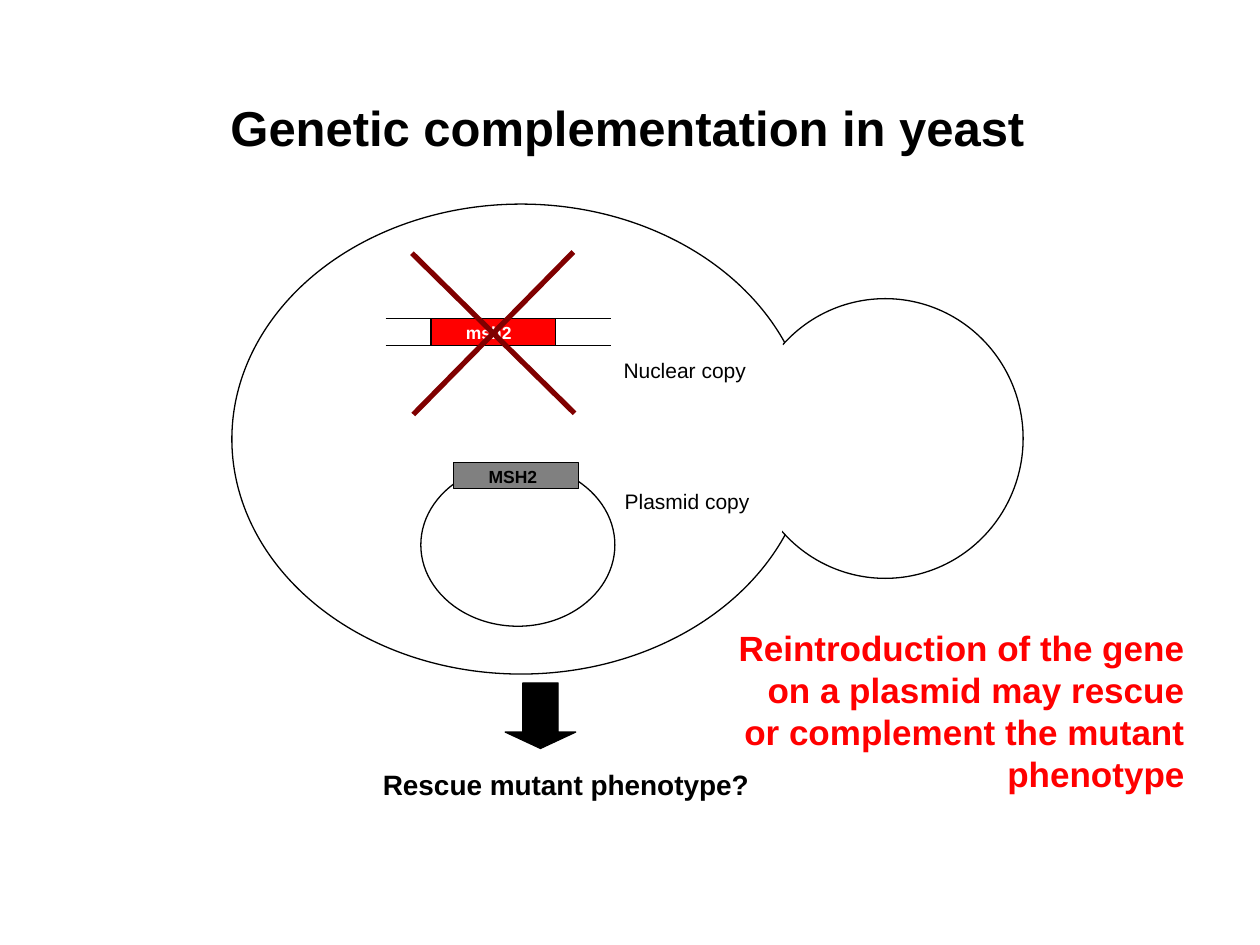
from lxml import etree
from pptx import Presentation
from pptx.dml.color import RGBColor
from pptx.enum.shapes import MSO_CONNECTOR, MSO_SHAPE
from pptx.enum.text import MSO_ANCHOR, PP_ALIGN
from pptx.oxml.ns import qn
from pptx.util import Inches, Pt

OVAL, RECTANGLE, DOWN_ARROW = MSO_SHAPE.OVAL, MSO_SHAPE.RECTANGLE, MSO_SHAPE.DOWN_ARROW
STRAIGHT = MSO_CONNECTOR.STRAIGHT
LEFT, CENTER, RIGHT = PP_ALIGN.LEFT, PP_ALIGN.CENTER, PP_ALIGN.RIGHT
TOP = MSO_ANCHOR.TOP

FONT = "Arial"
BLACK, WHITE, RED, DARK_RED, GRAY = "000000", "FFFFFF", "FF0000", "800000", "808080"
THIN, THICK = 0.75, 3
GENE_WIDTH, GENE_HEIGHT = 0.99, 0.21
ARROW_HEAD_SHARE = 0.25

TITLE = ("Genetic complementation in yeast", (1.63, 0.72, 6.7, 0.57), 28)

# kind, (left, top, width, height), fill, line
ARROW = (DOWN_ARROW, (4.01, 5.42, 0.56, 0.52), BLACK, BLACK)
CELL_SHAPES = [
    (OVAL, (1.84, 1.62, 4.59, 3.73), WHITE, BLACK),  # mother cell
    (OVAL, (5.93, 2.37, 2.19, 2.22), WHITE, BLACK),  # bud
    (OVAL, (5.83, 2.6, 0.49, 1.74), WHITE, WHITE),   # opening between them
]
PLASMID = (OVAL, (3.34, 3.68, 1.54, 1.29), None, BLACK)

# gene name, (left, top), fill, text colour
NUCLEAR_GENE = ("msh2", (3.42, 2.53), RED, WHITE)
PLASMID_GENE = ("MSH2", (3.6, 3.67), GRAY, BLACK)

CHROMOSOME_LEFT, CHROMOSOME_RIGHT = 3.06, 4.85
CROSS = [((3.27, 2.01), (4.56, 3.28)), ((3.28, 3.29), (4.55, 2.0))]

# text, (left, top, width, height), size, colour, bold, alignment
LABELS = [
    ("Nuclear copy", (4.85, 2.79, 1.32, 0.3), 12, BLACK, False, LEFT),
    ("Plasmid copy", (4.86, 3.83, 1.34, 0.3), 12, BLACK, False, LEFT),
    ("Rescue mutant phenotype?", (2.94, 6.04, 3.2, 0.37), 16, BLACK, True, LEFT),
    ("Reintroduction of the gene on a plasmid may rescue or complement the mutant phenotype",
     (5.75, 4.92, 3.75, 1.44), 20, RED, True, RIGHT),
]


def color(hex_string):
    return RGBColor.from_string(hex_string)


def write(shape, text, size, text_color, bold, alignment):
    frame = shape.text_frame
    frame.text = text
    frame.word_wrap = True
    frame.vertical_anchor = TOP
    paragraph = frame.paragraphs[0]
    paragraph.alignment = alignment
    font = paragraph.runs[0].font
    font.name, font.size, font.bold = FONT, Pt(size), bold
    font.color.rgb = color(text_color)


def add_title(slide, text, box, size):
    title = slide.shapes.title
    title.left, title.top, title.width, title.height = map(Inches, box)
    write(title, text, size, BLACK, True, CENTER)


def add_label(slide, text, box, *style):
    write(slide.shapes.add_textbox(*map(Inches, box)), text, *style)


def add_shape(slide, kind, box, fill, line):
    shape = slide.shapes.add_shape(kind, *map(Inches, box))
    shape.shadow.inherit = False
    if fill:
        shape.fill.solid()
        shape.fill.fore_color.rgb = color(fill)
    else:
        shape.fill.background()
    shape.line.color.rgb = color(line)
    shape.line.width = Pt(THIN)
    return shape


def add_line(slide, start, end, line_color, width):
    line = slide.shapes.add_connector(STRAIGHT, *map(Inches, start + end))
    line.line.color.rgb = color(line_color)
    line.line.width = Pt(width)
    etree.SubElement(line._element.spPr, qn("a:effectLst"))


def add_gene(slide, name, corner, fill, text_color):
    left, top = corner
    add_shape(slide, RECTANGLE, (left, top, GENE_WIDTH, GENE_HEIGHT), fill, BLACK)
    add_label(slide, name, (left + 0.18, top - 0.02, 0.7, 0.27),
              10, text_color, True, LEFT)


def main():
    presentation = Presentation()
    presentation.slide_width, presentation.slide_height = Inches(10), Inches(7.5)
    slide = presentation.slides.add_slide(presentation.slide_layouts[5])

    add_title(slide, *TITLE)
    add_shape(slide, *ARROW).adjustments[1] = ARROW_HEAD_SHARE
    for cell_shape in CELL_SHAPES:
        add_shape(slide, *cell_shape)

    gene_top = NUCLEAR_GENE[1][1]
    for y in (gene_top, gene_top + GENE_HEIGHT):
        add_line(slide, (CHROMOSOME_LEFT, y), (CHROMOSOME_RIGHT, y), BLACK, THIN)
    add_gene(slide, *NUCLEAR_GENE)
    for start, end in CROSS:
        add_line(slide, start, end, DARK_RED, THICK)

    add_shape(slide, *PLASMID)
    add_gene(slide, *PLASMID_GENE)
    for label in LABELS:
        add_label(slide, *label)

    presentation.save("out.pptx")


if __name__ == "__main__":
    main()
